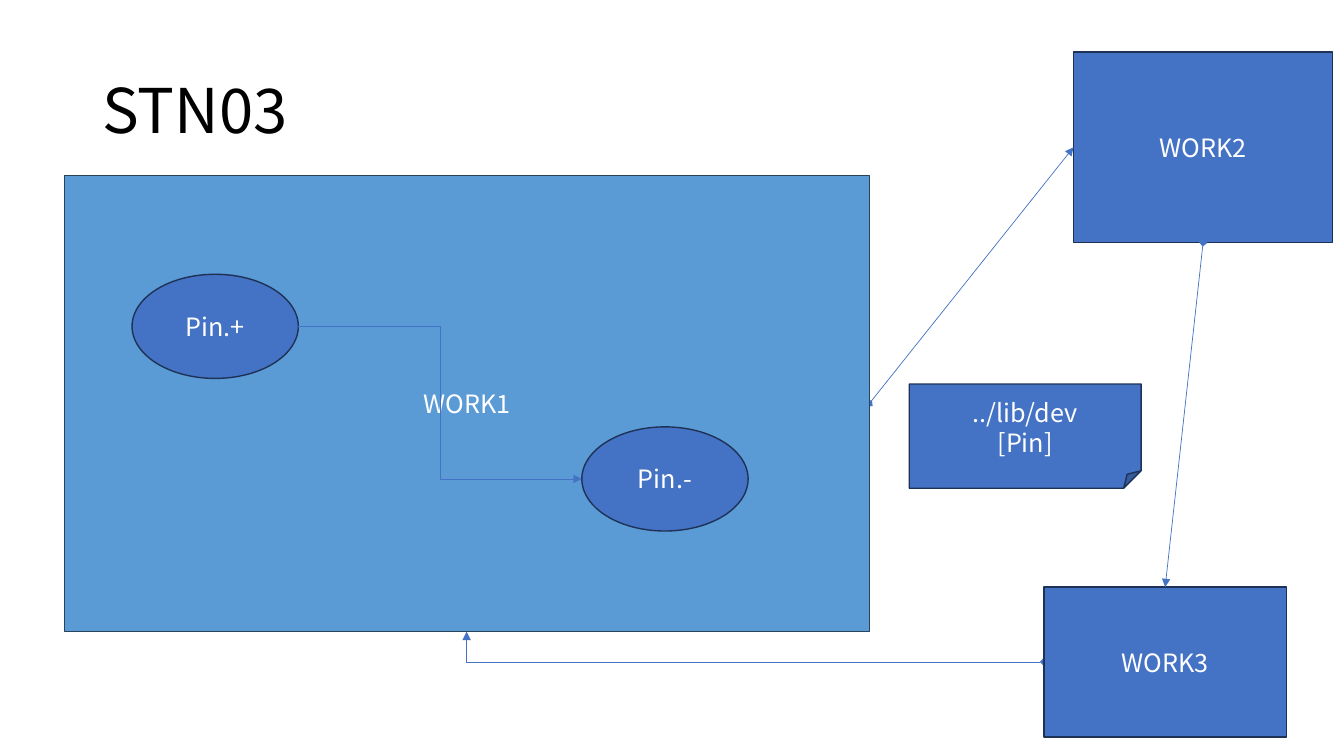
"""Build the STN03 slide: three work blocks linked in a cycle, with pins inside the first."""
from lxml import etree
from pptx import Presentation
from pptx import util as u
from pptx.dml.color import RGBColor
from pptx.enum import shapes, text
from pptx.oxml.ns import qn

FONT = "Noto Sans CJK KR"
BLUE = RGBColor(0x44, 0x72, 0xC4)
LIGHT_BLUE = RGBColor(0x5B, 0x9B, 0xD5)
NAVY = RGBColor(0x1E, 0x32, 0x56)
SLATE = RGBColor(0x28, 0x44, 0x5D)
WHITE = RGBColor(0xFF, 0xFF, 0xFF)
BLACK = RGBColor(0, 0, 0)
RECTANGLE = shapes.MSO_SHAPE.RECTANGLE
OVAL = shapes.MSO_SHAPE.OVAL
STRAIGHT = shapes.MSO_CONNECTOR.STRAIGHT
ELBOW = shapes.MSO_CONNECTOR.ELBOW


def add_node(parent, kind, bounds, lines, fill=BLUE, outline=NAVY):
    node = parent.shapes.add_shape(kind, *[u.Pt(value) for value in bounds])
    node.shadow.inherit = False
    node.fill.solid()
    node.fill.fore_color.rgb = fill
    node.line.color.rgb = outline
    node.line.width = u.Pt(1)
    frame = node.text_frame
    frame.vertical_anchor = text.MSO_ANCHOR.MIDDLE
    for index, line in enumerate(lines):
        para = frame.add_paragraph() if index else frame.paragraphs[0]
        para.alignment = text.PP_ALIGN.CENTER
        span = para.add_run()
        span.text = line
        span.font.name = FONT
        span.font.size = u.Pt(18)
        span.font.color.rgb = WHITE


def add_link(parent, kind, ends, head=None):
    link = parent.shapes.add_connector(kind, *[u.Pt(value) for value in ends])
    link.line.color.rgb = BLUE
    link.line.width = u.Pt(0.5)
    outline = link.line._get_or_add_ln()
    if head:
        etree.SubElement(outline, qn("a:headEnd"), type=head)
    etree.SubElement(outline, qn("a:tailEnd"), type="triangle")
    etree.SubElement(link._element.spPr, qn("a:effectLst"))
    return link


deck = Presentation()
deck.slide_width = u.Pt(960)
deck.slide_height = u.Pt(540)
page = deck.slides.add_slide(deck.slide_layouts[6])

title = page.shapes.add_textbox(u.Pt(66), u.Pt(28.75), u.Pt(828), u.Pt(104.4))
title.text_frame.word_wrap = True
title.text_frame.vertical_anchor = text.MSO_ANCHOR.MIDDLE
para = title.text_frame.paragraphs[0]
para.line_spacing = 0.9
span = para.add_run()
span.text = "STN03"
span.font.name = FONT
span.font.size = u.Pt(44)
span.font.color.rgb = BLACK

add_node(page, RECTANGLE, (766.8, 37.2, 185.2, 136), ["WORK2"])
add_link(page, STRAIGHT, (621, 288.2, 766.8, 105.2), "diamond")

return_link = add_link(page, ELBOW, (333.3, 451.2, 745.7, 472.8), "diamond")
return_link._element.spPr.find(qn("a:xfrm")).set("rot", "10800000")
return_link._element.spPr.find(qn("a:prstGeom")).set("prst", "bentConnector2")

add_node(page, RECTANGLE, (745.7, 419.4, 173.2, 107), ["WORK3"])
add_link(page, STRAIGHT, (859.4, 173.2, 832.3, 419.4), "diamond")
add_node(page, shapes.MSO_SHAPE.FOLDED_CORNER, (649.5, 274.3, 165.6, 74.4),
         ["../lib/dev", "[Pin]"])

work1 = page.shapes.add_group_shape()
add_node(work1, RECTANGLE, (46, 125.4, 575, 325.8), ["WORK1"], LIGHT_BLUE, SLATE)
for name, left, top in [("Pin.+", 94.3, 195.9), ("Pin.-", 415.6, 304.9)]:
    add_node(work1, OVAL, (left, top, 118.8, 74.4), [name])
add_link(work1, ELBOW, (213.1, 233.1, 415.6, 342.1))

deck.save("out.pptx")
